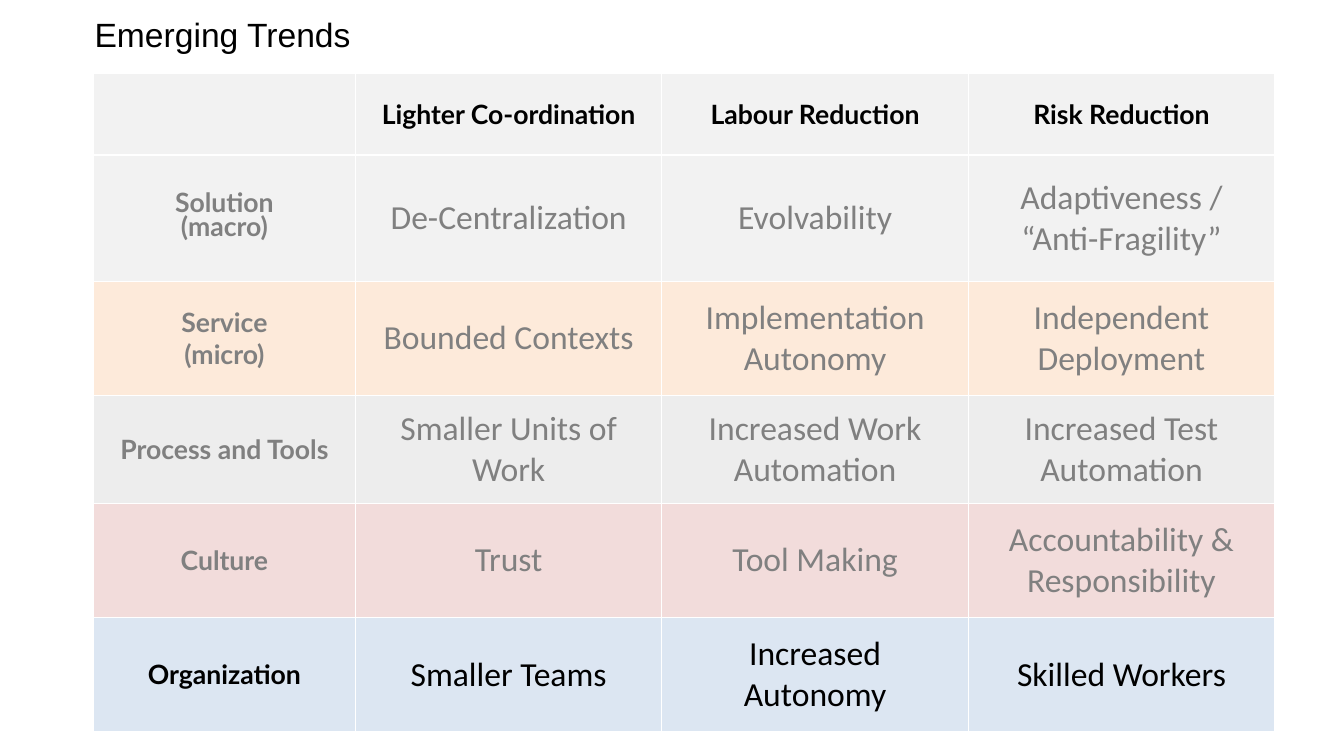
from lxml import etree
from pptx import Presentation
from pptx.dml.color import RGBColor
from pptx.enum.text import MSO_ANCHOR, MSO_AUTO_SIZE, PP_ALIGN
from pptx.oxml.ns import qn
from pptx.util import Inches, Pt

MIDDLE = MSO_ANCHOR.MIDDLE
CENTER = PP_ALIGN.CENTER
GROW = MSO_AUTO_SIZE.SHAPE_TO_FIT_TEXT

BLACK = RGBColor(0x00, 0x00, 0x00)
GRAY = RGBColor(0x80, 0x80, 0x80)
WHITE = RGBColor(0xFF, 0xFF, 0xFF)
PALE_GRAY = RGBColor(0xF2, 0xF2, 0xF2)
SILVER = RGBColor(0xED, 0xED, 0xED)
PEACH = RGBColor(0xFD, 0xEA, 0xDA)
ROSE = RGBColor(0xF2, 0xDC, 0xDB)
SKY = RGBColor(0xDC, 0xE6, 0xF2)

COLUMN_SHARES = [19.5, 22.8, 22.8, 22.8]
TREND_ROWS = [
    (10.8, PALE_GRAY, BLACK, ["", "Lighter Co-ordination", "Labour Reduction", "Risk Reduction"]),
    (16.7, PALE_GRAY, GRAY, ["Solution\n(macro)", "De-Centralization", "Evolvability",
                             "Adaptiveness / “Anti-Fragility”"]),
    (15.1, PEACH, GRAY, ["Service\n(micro)", "Bounded Contexts", "Implementation Autonomy",
                         "Independent Deployment"]),
    (14.3, SILVER, GRAY, ["Process and Tools", "Smaller Units of Work", "Increased Work Automation",
                          "Increased Test Automation"]),
    (15.1, ROSE, GRAY, ["Culture", "Trust", "Tool Making", "Accountability & Responsibility"]),
    (15.1, SKY, BLACK, ["Organization", "Smaller Teams", "Increased Autonomy", "Skilled Workers"]),
]


class TrendPage:
    """Draws styled elements on one page, placed by percentages of its size."""

    title_font, label_font, body_font = "Arial", "Lato", "Calibri"
    title_size, label_size, body_size = Pt(24), Pt(19), Pt(24)
    tight_spacing = Pt(17.2)

    def __init__(self, deck):
        self.deck = deck
        self.page = deck.slides.add_slide(deck.slide_layouts[6])

    def across(self, share):
        return round(self.deck.slide_width * share / 100)

    def down(self, share):
        return round(self.deck.slide_height * share / 100)

    def style(self, para, name, size, color, bold=False):
        para.font.name = name
        para.font.size = size
        para.font.bold = bold
        para.font.color.rgb = color

    def title(self, text, left, top, width, height):
        box = self.page.shapes.add_textbox(
            self.across(left), self.down(top), self.across(width), self.down(height))
        frame = box.text_frame
        frame.word_wrap = True
        frame.auto_size = GROW
        frame.text = text
        self.style(frame.paragraphs[0], self.title_font, self.title_size, BLACK)

    def borders(self, cell):
        properties = cell._tc.get_or_add_tcPr()
        for side in ("a:lnL", "a:lnR", "a:lnT", "a:lnB"):
            line = etree.SubElement(properties, qn(side), w=str(Pt(1)))
            fill = etree.SubElement(line, qn("a:solidFill"))
            etree.SubElement(fill, qn("a:srgbClr"), val=str(WHITE))

    def cell(self, cell, text, fill, color, is_label, tight):
        self.borders(cell)
        cell.fill.solid()
        cell.fill.fore_color.rgb = fill
        cell.vertical_anchor = MIDDLE
        cell.margin_left = cell.margin_right = Inches(0.13)
        cell.margin_top = cell.margin_bottom = Inches(0.07)
        cell.text = text
        name, size = ((self.label_font, self.label_size) if is_label
                      else (self.body_font, self.body_size))
        for para in cell.text_frame.paragraphs:
            para.alignment = CENTER
            if tight:
                para.line_spacing = self.tight_spacing
            self.style(para, name, size, color, is_label)

    def table(self, rows, column_shares, left, top):
        table = self.page.shapes.add_table(
            len(rows), len(column_shares), self.across(left), self.down(top),
            self.across(sum(column_shares)), self.down(sum(row[0] for row in rows))).table
        table.horz_banding = False
        for column, share in zip(table.columns, column_shares):
            column.width = self.across(share)
        for r, (share, fill, color, texts) in enumerate(rows):
            table.rows[r].height = self.down(share)
            for c, text in enumerate(texts):
                is_label = r == 0 or c == 0
                self.cell(table.cell(r, c), text, fill, color, is_label, r == 1 and c == 0)


def main():
    deck = Presentation()
    deck.slide_width = Inches(13.33)
    deck.slide_height = Inches(7.5)
    trends = TrendPage(deck)
    trends.table(TREND_ROWS, COLUMN_SHARES, left=6.95, top=9.7)
    trends.title("Emerging Trends", left=6.3, top=1.2, width=25.8, height=6.7)
    deck.save("out.pptx")


if __name__ == "__main__":
    main()
